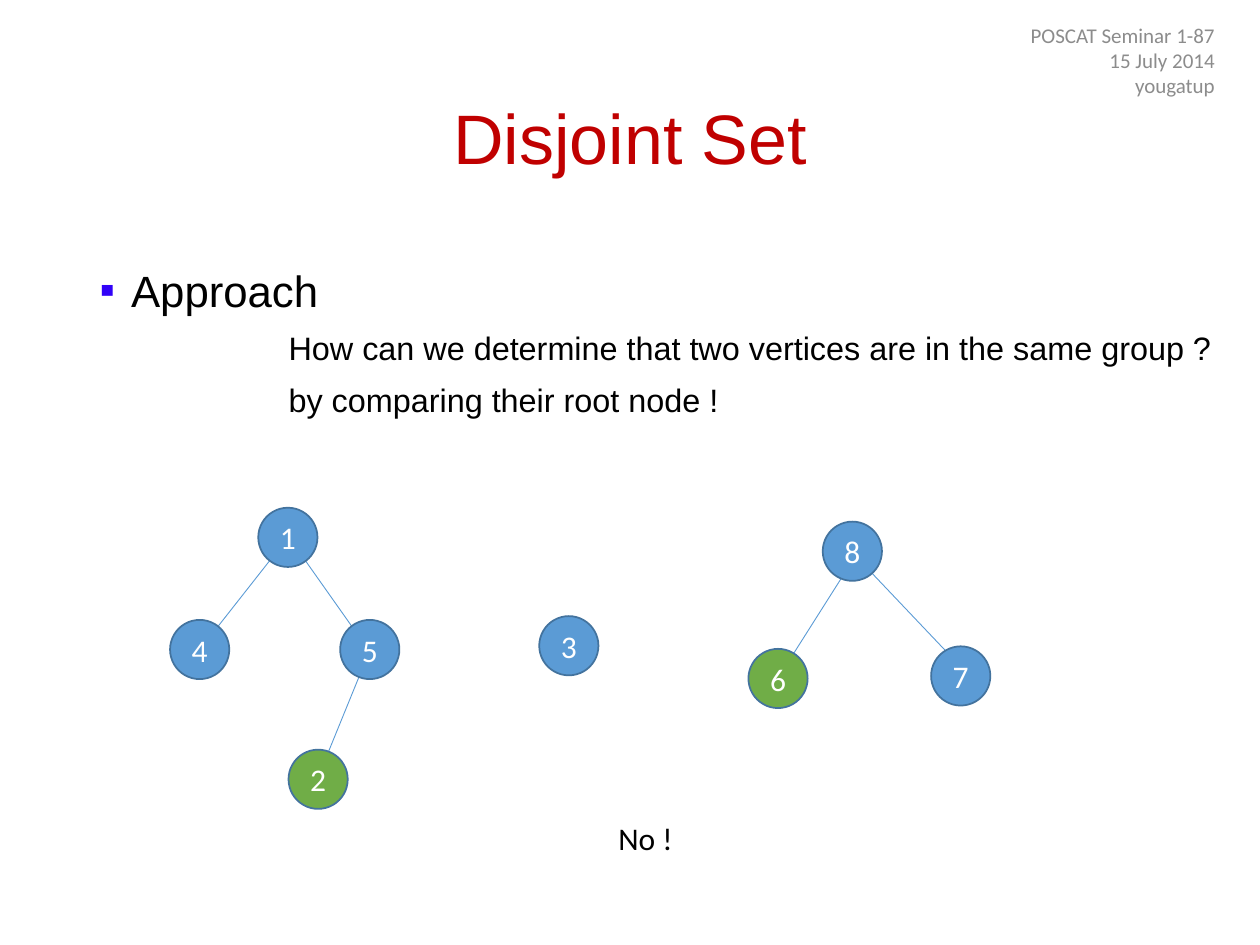
from lxml import etree
from pptx import Presentation
from pptx.dml.color import RGBColor
from pptx.enum import shapes, text
from pptx.oxml.ns import qn
from pptx.util import Inches, Pt

RED = RGBColor(0xC0, 0x00, 0x00)
BLACK = RGBColor(0x00, 0x00, 0x00)
WHITE = RGBColor(0xFF, 0xFF, 0xFF)
GRAY = RGBColor(0x8C, 0x8C, 0x8C)
BLUE = RGBColor(0x5B, 0x9B, 0xD5)
GREEN = RGBColor(0x70, 0xAD, 0x47)
OUTLINE = RGBColor(0x43, 0x73, 0x9E)
BULLET = RGBColor(0x31, 0x02, 0xF8)
DIAMETER = 0.47


def add_run(paragraph, words, size, font, color):
    run = paragraph.add_run()
    run.text = words
    run.font.size = Pt(size)
    run.font.name = font
    run.font.color.rgb = color


def place(shape, left, top, width, height):
    shape.left, shape.top = Inches(left), Inches(top)
    shape.width, shape.height = Inches(width), Inches(height)


presentation = Presentation()
presentation.slide_width = Inches(10)
presentation.slide_height = Inches(7.5)
slide = presentation.slides.add_slide(presentation.slide_layouts[1])

# Title
title = slide.shapes.title
place(title, 0.69, 0.4, 8.62, 1.45)
title.text_frame.vertical_anchor = text.MSO_ANCHOR.MIDDLE
title.text_frame.auto_size = text.MSO_AUTO_SIZE.NONE
paragraph = title.text_frame.paragraphs[0]
paragraph.alignment = text.PP_ALIGN.CENTER
paragraph.line_spacing = 0.9
add_run(paragraph, "Disjoint Set", 40, "Arial", RED)

# Body list: words, level, size, space before, left margin, first-line indent
body = slide.placeholders[1]
place(body, 0.69, 2, 9.19, 4.76)
frame = body.text_frame
frame.auto_size = text.MSO_AUTO_SIZE.NONE
items = [
    ("Approach", 0, 25, 10, 0.25, -0.25),
    ("How can we determine that two vertices are in the same group ?", 1, 18.5, 5, 1.5, 0),
    ("by comparing their root node !", 1, 18.5, 5, 1.5, 0),
]
for index, (words, level, size, space, margin, indent) in enumerate(items):
    paragraph = frame.add_paragraph() if index else frame.paragraphs[0]
    paragraph.level = level
    paragraph.line_spacing = 1.1
    paragraph.space_before = Pt(space)
    properties = paragraph._p.get_or_add_pPr()
    properties.set("marL", str(Inches(margin)))
    properties.set("indent", str(Inches(indent)))
    if level == 0:
        bullet_color = etree.SubElement(properties, qn("a:buClr"))
        etree.SubElement(bullet_color, qn("a:srgbClr"), val=str(BULLET))
        etree.SubElement(properties, qn("a:buFont"), typeface="Arial")
        etree.SubElement(properties, qn("a:buChar"), char="▪")
    else:
        etree.SubElement(properties, qn("a:buNone"))
    add_run(paragraph, words, size, "Arial", BLACK)

# Seminar details
details = slide.shapes.add_textbox(Inches(7.49), Inches(0.2), Inches(2.25), Inches(0.55))
frame = details.text_frame
frame.word_wrap = True
frame.vertical_anchor = text.MSO_ANCHOR.MIDDLE
for index, words in enumerate(["POSCAT Seminar 1-87", "15 July 2014", "yougatup"]):
    paragraph = frame.add_paragraph() if index else frame.paragraphs[0]
    paragraph.alignment = text.PP_ALIGN.RIGHT
    add_run(paragraph, words, 12, "Calibri", GRAY)

# Forest: edges lie behind the nodes, which cover their ends
nodes = {
    1: (2.05, 4.03), 2: (2.29, 5.95), 3: (4.28, 4.89), 4: (1.35, 4.92),
    5: (2.7, 4.92), 6: (5.94, 5.15), 7: (7.39, 5.13), 8: (6.53, 4.14),
}
edges = [
    (2.29, 4.26, 1.59, 5.15),
    (2.29, 4.26, 2.94, 5.18),
    (2.94, 5.15, 2.52, 6.18),
    (6.81, 4.38, 6.17, 5.39),
    (6.76, 4.38, 7.69, 5.36),
]
compared = {2, 6}

for ends in edges:
    edge = slide.shapes.add_connector(
        shapes.MSO_CONNECTOR.STRAIGHT, *[Inches(value) for value in ends])
    edge.line.color.rgb = BLUE
    edge.line.width = Pt(0.5)
    etree.SubElement(edge._element.spPr, qn("a:effectLst"))

for number, (left, top) in nodes.items():
    node = slide.shapes.add_shape(
        shapes.MSO_SHAPE.OVAL, Inches(left), Inches(top), Inches(DIAMETER), Inches(DIAMETER))
    node.shadow.inherit = False
    node.fill.solid()
    node.fill.fore_color.rgb = GREEN if number in compared else BLUE
    node.line.color.rgb = OUTLINE
    node.line.width = Pt(1)
    node.text_frame.vertical_anchor = text.MSO_ANCHOR.MIDDLE
    paragraph = node.text_frame.paragraphs[0]
    paragraph.alignment = text.PP_ALIGN.CENTER
    add_run(paragraph, str(number), 18, "Calibri", WHITE)

# Answer
answer = slide.shapes.add_textbox(Inches(4.81), Inches(6.45), Inches(0.64), Inches(0.4))
answer.text_frame.word_wrap = False
answer.text_frame.auto_size = text.MSO_AUTO_SIZE.SHAPE_TO_FIT_TEXT
add_run(answer.text_frame.paragraphs[0], "No !", 18, "Calibri", BLACK)

presentation.save("out.pptx")
